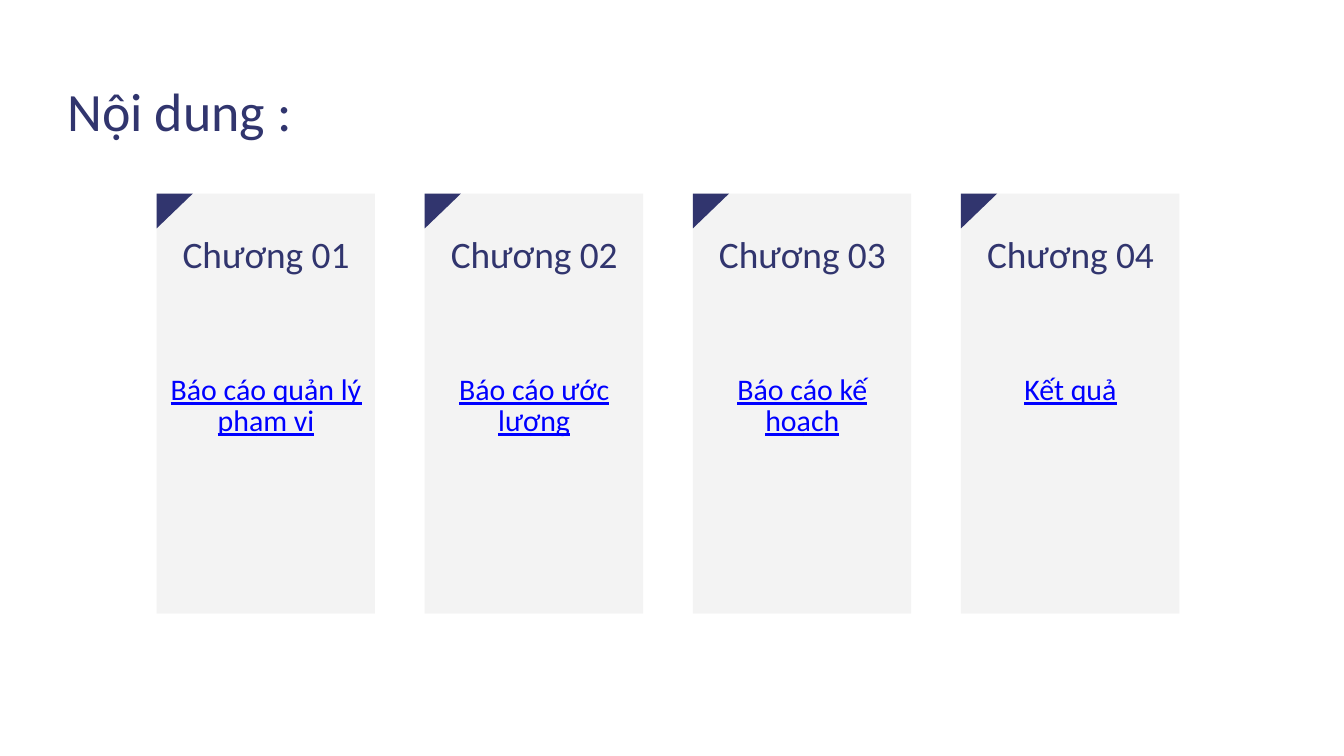
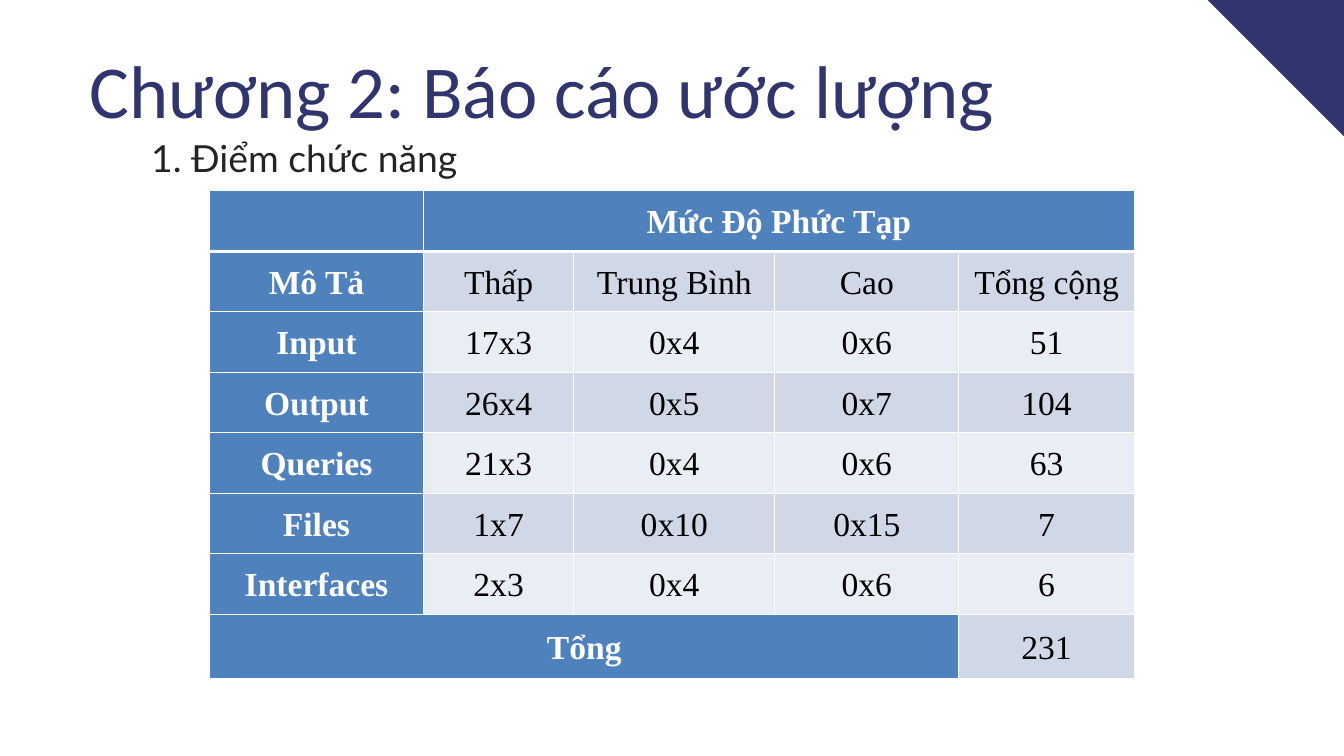
import pptx
import pptx.util
import pptx.dml.color
import pptx.enum.shapes
import pptx.enum.text
import pptx.oxml
import pptx.oxml.ns

Inch = pptx.util.Inches
Pt = pptx.util.Pt
Align = pptx.enum.text.PP_ALIGN
Anchor = pptx.enum.text.MSO_ANCHOR

# Content
CARDS = [
    ("Chương 01", "Báo cáo quản lý phạm vi"),
    ("Chương 02", "Báo cáo ước lượng"),
    ("Chương 03", "Báo cáo kế hoạch"),
    ("Chương 04", "Kết quả"),
]
ROWS = [
    ("", "Mức Độ Phức Tạp", "", "", ""),
    ("Mô Tả", "Thấp", "Trung Bình", "Cao", "Tổng cộng"),
    ("Input", "17x3", "0x4", "0x6", "51"),
    ("Output", "26x4", "0x5", "0x7", "104"),
    ("Queries", "21x3", "0x4", "0x6", "63"),
    ("Files", "1x7", "0x10", "0x15", "7"),
    ("Interfaces", "2x3", "0x4", "0x6", "6"),
    ("Tổng", "", "", "", "231"),
]
WIDTHS = [3.18, 2.24, 2.99, 2.74, 2.61]
HEIGHTS = [0.9] * 7 + [0.96]

# Shared style
WIDE, HIGH = 20, 11.25
NAVY, INK, LINK = "31356E", "242424", "0000FF"
BLUE, BANDS = "4F81BD", ("E9EDF4", "D0D8E8")
WHITE, BLACK = "FFFFFF", "000000"


def color(code):
    return pptx.dml.color.RGBColor.from_string(code)


def paint(part, code):
    part.fill.solid()
    part.fill.fore_color.rgb = color(code)


def write(frame, text, size=40, font="Calibri", ink=NAVY, bold=False,
          under=False, align=Align.CENTER, space=None):
    """Put one formatted paragraph into a text frame."""
    para = frame.paragraphs[0]
    para.alignment = align
    para.line_spacing = space
    run = para.add_run()
    run.text = text
    run.font.size = Pt(size)
    run.font.name = font
    run.font.bold = bold
    run.font.underline = under
    run.font.color.rgb = color(ink)
    return para


def fit(shape, left, top, width, height):
    """Place a text shape and clear its insets."""
    shape.left, shape.top = Inch(left), Inch(top)
    shape.width, shape.height = Inch(width), Inch(height)
    frame = shape.text_frame
    frame.word_wrap = True
    frame.auto_size = pptx.enum.text.MSO_AUTO_SIZE.NONE
    frame.vertical_anchor = Anchor.TOP
    frame.margin_left = frame.margin_right = 0
    frame.margin_top = frame.margin_bottom = 0
    return frame


def label(slide, box, text, **style):
    shape = slide.shapes.add_textbox(0, 0, 0, 0)
    write(fit(shape, *box), text, **style)


def corner(slide, *points):
    """Draw a navy triangle through three points."""
    spots = [(Inch(x), Inch(y)) for x, y in points]
    pen = slide.shapes.build_freeform(*spots[0])
    pen.add_line_segments(spots[1:], close=True)
    shape = pen.convert_to_shape()
    shape.shadow.inherit = False
    shape.line.fill.background()
    paint(shape, NAVY)


def card(slide, left, name, topic):
    top, width = 2.88, 3.25
    panel = slide.shapes.add_shape(
        pptx.enum.shapes.MSO_SHAPE.RECTANGLE,
        Inch(left), Inch(top), Inch(width), Inch(6.25))
    panel.shadow.inherit = False
    panel.line.fill.background()
    paint(panel, INK)
    # Five percent opacity
    tint = panel.fill._xPr.find(".//" + pptx.oxml.ns.qn("a:srgbClr"))
    tint.append(pptx.oxml.parse_xml(
        f'<a:alpha {pptx.oxml.ns.nsdecls("a")} val="5000"/>'))
    corner(slide, (left, top + 0.52), (left, top), (left + 0.54, top))
    inner = left + 0.08
    label(slide, (inner, 5.58, 3.1, 0.95), topic, size=32, ink=LINK,
          under=True, space=Pt(33.6))
    label(slide, (inner, 3.44, 3.1, 0.64), name, space=Pt(48))


def edge(cell, top=1, bottom=1):
    """Give a cell white borders, widths in points."""
    sides = [("L", 1), ("R", 1), ("T", top), ("B", bottom)]
    for at, (side, width) in enumerate(sides):
        cell._tc.get_or_add_tcPr().insert(at, pptx.oxml.parse_xml(
            f'<a:ln{side} {pptx.oxml.ns.nsdecls("a")} w="{Pt(width)}">'
            f'<a:solidFill><a:srgbClr val="{WHITE}"/></a:solidFill>'
            f'</a:ln{side}>'))


def grid(slide, left, top):
    table = slide.shapes.add_table(
        len(ROWS), len(WIDTHS), Inch(left), Inch(top),
        Inch(sum(WIDTHS)), Inch(sum(HEIGHTS))).table
    for col, width in zip(table.columns, WIDTHS):
        col.width = Inch(width)
    for row, height in zip(table.rows, HEIGHTS):
        row.height = Inch(height)
    last = len(ROWS) - 1
    for r, line in enumerate(ROWS):
        for c, text in enumerate(line):
            cell = table.cell(r, c)
            head = r == 0 or c == 0 or (r == last and c < 4)
            paint(cell, BLUE if head else BANDS[r % 2])
            edge(cell, top=3 if r == 1 else 1, bottom=3 if r == 0 else 1)
            cell.margin_left = cell.margin_right = Inch(0.07)
            cell.margin_top = cell.margin_bottom = 0
            cell.vertical_anchor = Anchor.MIDDLE
            if text:
                write(cell.text_frame, text, size=36, font="Times New Roman",
                      ink=WHITE if head else BLACK, bold=head, space=1.07)
    table.cell(0, 1).merge(table.cell(0, 4))
    table.cell(last, 0).merge(table.cell(last, 3))


def start(deck, layout, title, box, **style):
    """Add a slide with its title in place."""
    slide = deck.slides.add_slide(deck.slide_layouts[layout])
    write(fit(slide.shapes.title, *box), title, **style)
    return slide


def main():
    deck = pptx.Presentation()
    deck.slide_width, deck.slide_height = Inch(WIDE), Inch(HIGH)

    # Contents: four chapter cards
    slide = start(deck, 5, "Nội dung :", (0.33, 1.16, 4.69, 0.96),
                  size=57.8, space=Pt(69.3))
    for i, (name, topic) in enumerate(CARDS):
        card(slide, 2.33 + 3.99 * i, name, topic)

    # Chapter 2: function points
    slide = start(deck, 1, "Chương 2: Báo cáo ước lượng",
                  (1.33, 0.65, 16.42, 1.35), size=80, align=Align.LEFT,
                  space=Pt(96))
    side = 2.03
    corner(slide, (WIDE - side, 0), (WIDE, 0), (WIDE, side))
    grid(slide, 3.12, 2.84)
    body = fit(slide.placeholders[1], 2.25, 2.15, 9.49, 0.53)
    para = write(body, "1. Điểm chức năng", font="Lato", ink=INK,
                 align=Align.LEFT, space=Pt(38.4))
    para.space_before = 0
    props = para._p.get_or_add_pPr()
    props.set("marL", "0")
    props.set("indent", "0")
    props.append(pptx.oxml.parse_xml(
        f'<a:buNone {pptx.oxml.ns.nsdecls("a")}/>'))

    deck.save("out.pptx")


if __name__ == "__main__":
    main()
